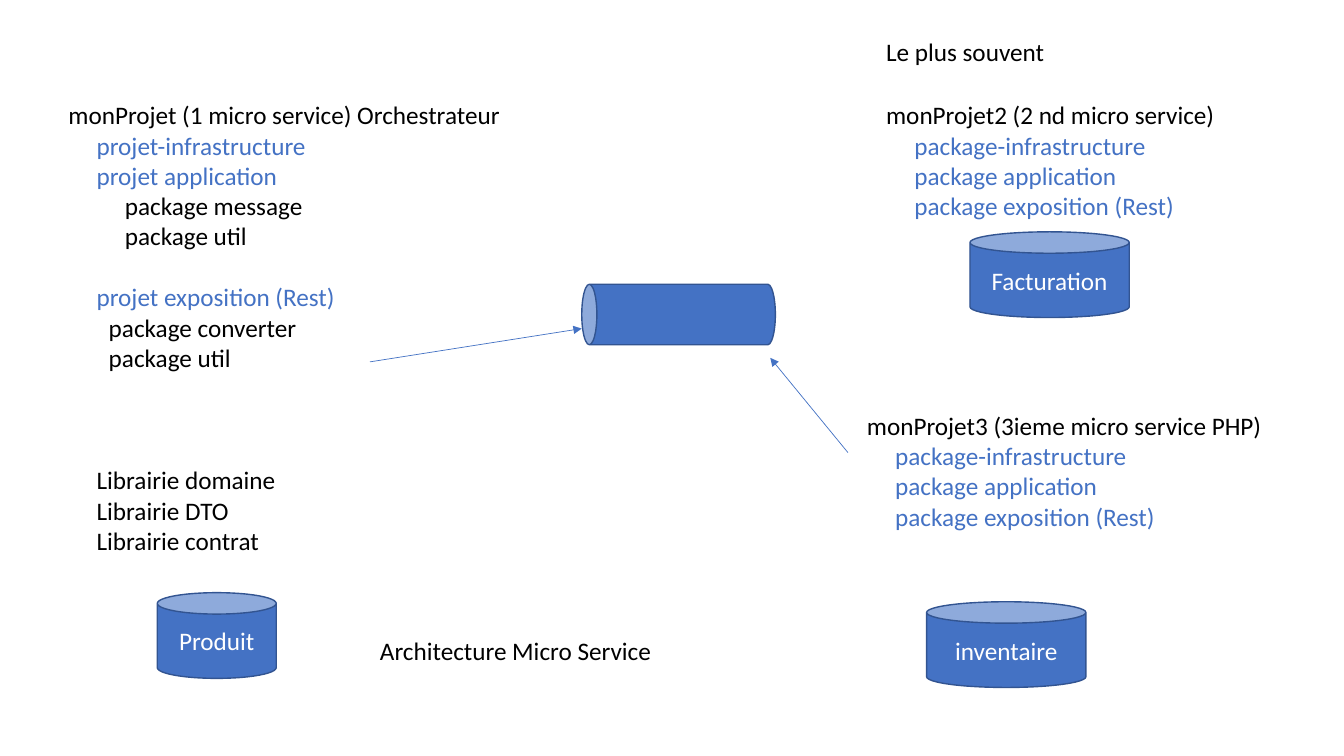
from lxml import etree
from pptx import Presentation
from pptx.dml.color import RGBColor
from pptx.enum.shapes import MSO_CONNECTOR, MSO_SHAPE
from pptx.enum.text import MSO_ANCHOR, MSO_AUTO_SIZE, PP_ALIGN
from pptx.oxml.ns import qn
from pptx.util import Inches, Pt

BLUE = RGBColor(0x44, 0x72, 0xC4)
DARK_BLUE = RGBColor(0x32, 0x54, 0x91)
BLACK = RGBColor(0, 0, 0)
WHITE = RGBColor(0xFF, 0xFF, 0xFF)
FONT = "Calibri"
SIZE = Pt(18)
LINE = 22  # height of one text line, in points
INDENT = 0.28
CONVERTER_INDENT = 0.4


def write(paragraph, text, color):
    """Put one styled run in a paragraph."""
    run = paragraph.add_run()
    run.text = text
    run.font.name, run.font.size = FONT, SIZE
    run.font.color.rgb = color


def add_text(slide, box, lines):
    """Write lines of (text, colour, indent, blank lines before) in a box."""
    shape = slide.shapes.add_textbox(*map(Inches, box))
    frame = shape.text_frame
    frame.word_wrap = True
    frame.auto_size = MSO_AUTO_SIZE.SHAPE_TO_FIT_TEXT
    for i, (text, color, indent, gap) in enumerate(lines):
        paragraph = frame.add_paragraph() if i else frame.paragraphs[0]
        write(paragraph, text, color)
        paragraph.space_before = Pt(gap * LINE)
        paragraph._p.get_or_add_pPr().set("marL", str(Inches(indent)))


def add_can(slide, box, label="", rotation=0):
    """Draw a cylinder with an optional centred label."""
    can = slide.shapes.add_shape(MSO_SHAPE.CAN, *map(Inches, box))
    can.shadow.inherit = False
    can.rotation = rotation
    can.fill.solid()
    can.fill.fore_color.rgb = BLUE
    can.line.color.rgb = DARK_BLUE
    can.line.width = Pt(1)
    if label:
        can.text_frame.vertical_anchor = MSO_ANCHOR.MIDDLE
        paragraph = can.text_frame.paragraphs[0]
        paragraph.alignment = PP_ALIGN.CENTER
        write(paragraph, label, WHITE)


def add_arrow(slide, start, end):
    """Draw a thin arrow from start to end."""
    arrow = slide.shapes.add_connector(
        MSO_CONNECTOR.STRAIGHT, *map(Inches, start + end))
    arrow.line.color.rgb = BLUE
    arrow.line.width = Pt(0.5)
    etree.SubElement(arrow.line._get_or_add_ln(), qn("a:tailEnd"), type="triangle")
    etree.SubElement(arrow._element.spPr, qn("a:effectLst"))


def add_orchestrator(slide, left, top, width, height):
    """Place the orchestrating project, its libraries and its database."""
    add_text(slide, (left, top, width, height), [
        ("monProjet (1 micro service) Orchestrateur", BLACK, 0, 0),
        ("projet-infrastructure", BLUE, INDENT, 0),
        ("projet application", BLUE, INDENT, 0),
        ("package message", BLACK, 2 * INDENT, 0),
        ("package util", BLACK, 2 * INDENT, 0),
        ("projet exposition (Rest)", BLUE, INDENT, 1),
        ("package converter", BLACK, CONVERTER_INDENT, 0),
        ("package util", BLACK, CONVERTER_INDENT, 0),
        ("Librairie domaine", BLACK, INDENT, 3),
        ("Librairie DTO", BLACK, INDENT, 0),
        ("Librairie contrat", BLACK, INDENT, 0),
    ])
    add_can(slide, (left + 0.98, top + 4.94, 1.18, 0.85), "Produit")


def add_service(slide, left, top, width, title, database, dx, dy):
    """Place a service's packages, with its database at offset dx, dy."""
    packages = ("package-infrastructure", "package application",
                "package exposition (Rest)")
    add_text(slide, (left, top, width, 1.31),
             [(title, BLACK, 0, 0)] + [(name, BLUE, INDENT, 0) for name in packages])
    add_can(slide, (left + dx, top + dy, 1.58, 0.85), database)


def add_message_pipe(slide, left, top, width, height):
    """Place the horizontal pipe and the two arrows that feed it."""
    # The can is drawn upright around the box centre, then turned on its side.
    upright = (left + (width - height) / 2, top + (height - width) / 2, height, width)
    add_can(slide, upright, rotation=270)
    add_arrow(slide, (left - 2.1, top + 0.77), (left, top + 0.44))
    add_arrow(slide, (left + 2.64, top + 1.67), (left + 1.87, top + 0.73))


def add_caption(slide, left, top, width, text):
    """Place a single line of black text."""
    add_text(slide, (left, top, width, 0.4), [(text, BLACK, 0, 0)])


prs = Presentation()
prs.slide_width, prs.slide_height = Inches(13.33), Inches(7.5)
slide = prs.slides.add_slide(prs.slide_layouts[6])

add_orchestrator(slide, 0.58, 0.94, 5.19, 4.64)
add_service(slide, 8.69, 0.94, 3.91, "monProjet2 (2 nd micro service)",
            "Facturation", 0.93, 1.36)
add_service(slide, 8.5, 4.02, 4.59, "monProjet3 (3ieme micro service PHP)",
            "inventaire", 0.69, 1.95)
add_message_pipe(slide, 5.77, 2.82, 1.92, 0.6)
add_caption(slide, 8.69, 0.31, 2.84, "Le plus souvent")
add_caption(slide, 3.67, 6.25, 2.95, "Architecture Micro Service")

prs.save("out.pptx")
